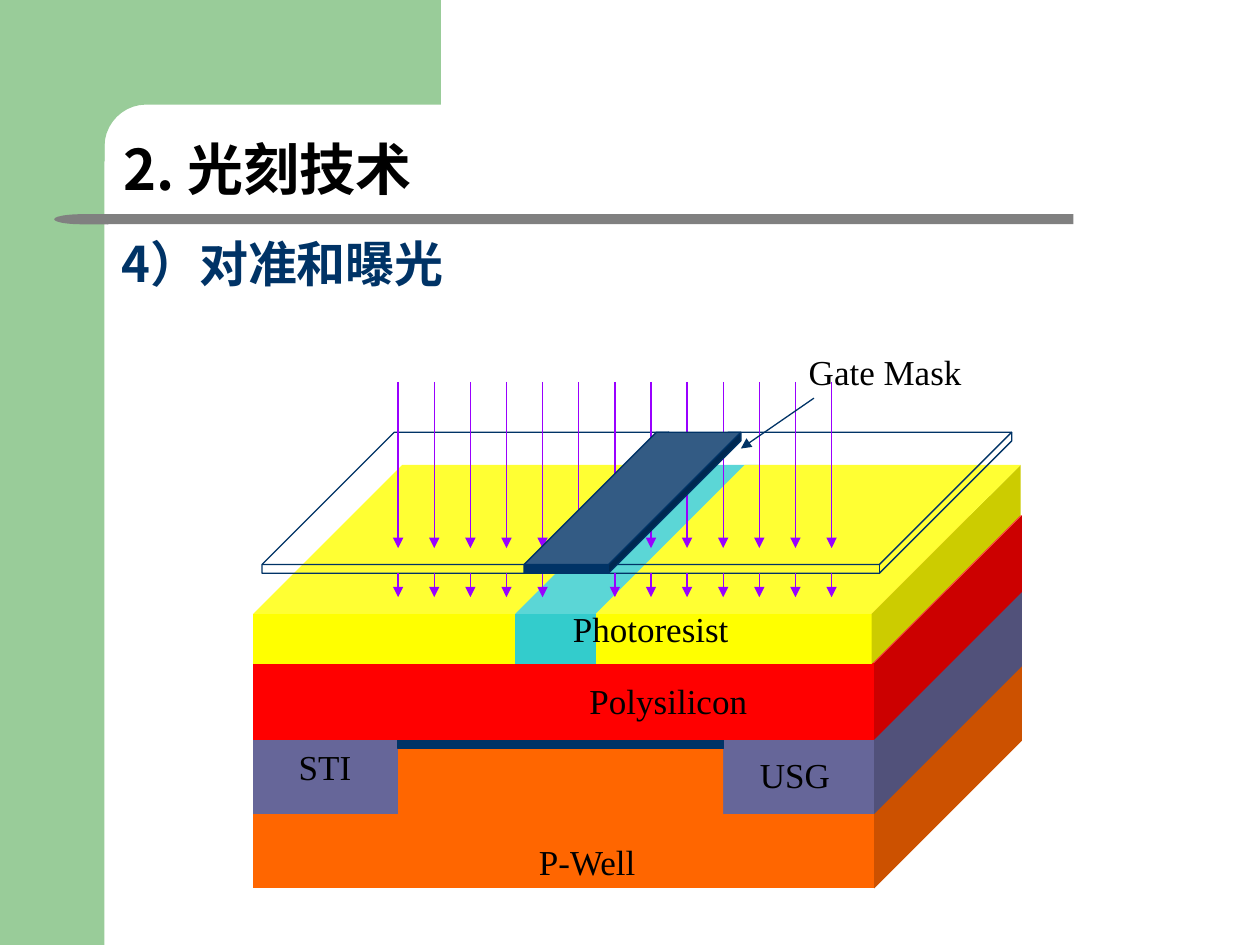
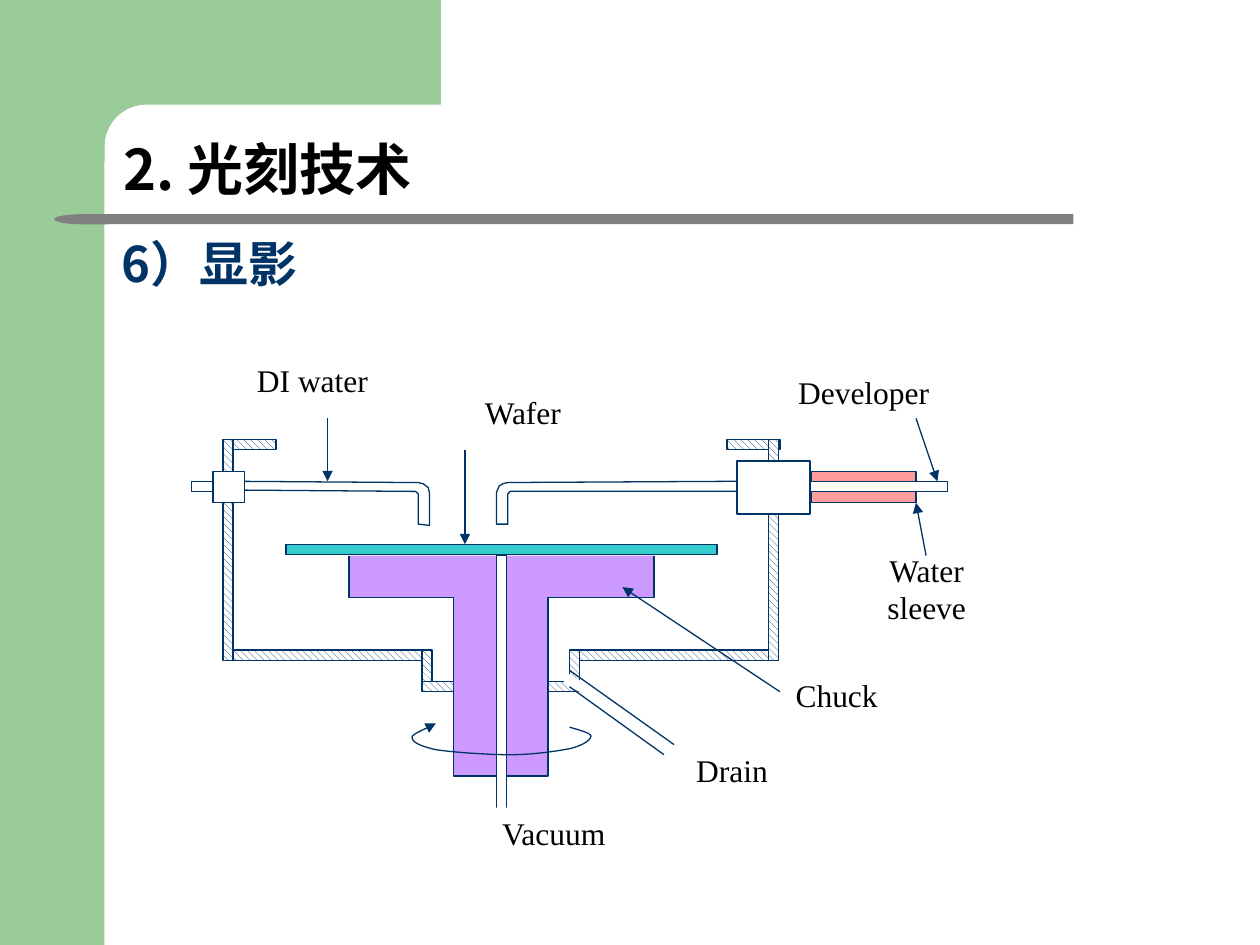
from pptx import Presentation
from pptx.dml.color import RGBColor
from pptx.enum.dml import MSO_PATTERN
from pptx.enum.shapes import MSO_CONNECTOR, MSO_SHAPE
from pptx.enum.text import MSO_ANCHOR, PP_ALIGN
from pptx.oxml.ns import qn
from pptx.util import Inches, Pt
from lxml import etree

RECT, CUBE = MSO_SHAPE.RECTANGLE, MSO_SHAPE.CUBE
ROUND_RECT, DELAY = MSO_SHAPE.ROUNDED_RECTANGLE, MSO_SHAPE.FLOWCHART_DELAY
STRAIGHT = MSO_CONNECTOR.STRAIGHT
HATCH = MSO_PATTERN.WIDE_DOWNWARD_DIAGONAL
TOP, BOTTOM = MSO_ANCHOR.TOP, MSO_ANCHOR.BOTTOM
LEFT, CENTER = PP_ALIGN.LEFT, PP_ALIGN.CENTER

COLOURS = {
    "white": "FFFFFF", "black": "000000", "navy": "003366",
    "green": "99CC99", "grey": "808080", "orange": "FF6600",
    "slate": "666699", "red": "FF0000", "yellow": "FFFF00",
    "teal": "33CCCC", "violet": "9900FF", "lilac": "CC99FF",
    "pink": "FF9D9D",
}
TITLE_FONT = "Noto Sans CJK SC"
LABEL_FONT = "Times New Roman"


def rgb(name):
    return RGBColor.from_string(COLOURS[name])


def style(shape, fill=None, line=None, hatched=False):
    shape.shadow.inherit = False
    if hatched:
        shape.fill.patterned()
        shape.fill.pattern = HATCH
        shape.fill.fore_color.rgb = rgb("navy")
        shape.fill.back_color.rgb = rgb("white")
    elif fill:
        shape.fill.solid()
        shape.fill.fore_color.rgb = rgb(fill)
    else:
        shape.fill.background()
    if line:
        shape.line.color.rgb = rgb(line)
        shape.line.width = Pt(0.75)
    else:
        shape.line.fill.background()


def add_block(page, box, fill=None, line=None, kind=RECT, adjust=None,
              hatched=False, rotation=0):
    shape = page.shapes.add_shape(kind, *map(Inches, box))
    if adjust is not None:
        shape.adjustments[0] = adjust
    shape.rotation = rotation
    style(shape, fill, line, hatched)
    return shape


def add_arrowhead(shape):
    etree.SubElement(shape.line._get_or_add_ln(), qn("a:tailEnd"),
                     type="triangle")


def add_line(page, start, end, colour="navy", arrow=False):
    line = page.shapes.add_connector(STRAIGHT, *map(Inches, (*start, *end)))
    line.line.color.rgb = rgb(colour)
    line.line.width = Pt(0.75)
    if arrow:
        add_arrowhead(line)
    etree.SubElement(line._element.spPr, qn("a:effectLst"))


def add_outline(page, points, fill=None, line=None, close=False, arrow=False):
    spots = [(Inches(x), Inches(y)) for x, y in points]
    builder = page.shapes.build_freeform(*spots[0])
    builder.add_line_segments(spots[1:], close=close)
    shape = builder.convert_to_shape()
    style(shape, fill, line)
    if arrow:
        add_arrowhead(shape)


def curve(points, steps=10):
    """Flatten a chain of cubic curves: start, then three points per curve."""
    spots = [points[0]]
    for first in range(0, len(points) - 1, 3):
        ends = points[first:first + 4]
        for step in range(1, steps + 1):
            t = step / steps
            weights = ((1 - t) ** 3, 3 * t * (1 - t) ** 2,
                       3 * t * t * (1 - t), t ** 3)
            spots.append(tuple(sum(w * end[axis] for w, end in zip(weights, ends))
                               for axis in (0, 1)))
    return spots


def write_text(shape, text, size=18, font=LABEL_FONT, colour="black",
               bold=False, align=CENTER, anchor=TOP, spacing=None):
    frame = shape.text_frame
    frame.word_wrap = True
    frame.vertical_anchor = anchor
    para = frame.paragraphs[0]
    para.alignment = align
    if spacing:
        para.line_spacing = spacing
    span = para.add_run()
    span.text = text
    span.font.size = Pt(size)
    span.font.name = font
    span.font.bold = bold
    span.font.color.rgb = rgb(colour)
    etree.SubElement(span._r.get_or_add_rPr(), qn("a:ea"), typeface=font)


def add_label(page, text, left, top, width, height=0.4, size=18):
    box = page.shapes.add_textbox(*map(Inches, (left, top, width, height)))
    write_text(box, text, size=size)


def add_heading(page, text, box, size, colour):
    shape = add_block(page, box, kind=ROUND_RECT, adjust=0.217)
    write_text(shape, text, size=size, font=TITLE_FONT, colour=colour,
               bold=True, align=LEFT, anchor=BOTTOM, spacing=0.9)


def add_page(deck, subtitle):
    page = deck.slides.add_slide(deck.slide_layouts[6])
    # Green corner with its rounded inside
    add_block(page, (0, 0, 0.83, 7.5), "green")
    corner = curve([(1.16, 0.83), (0.98, 0.83), (0.83, 0.98), (0.83, 1.16)])
    add_outline(page, [(0.5, 0), (3.5, 0), (3.5, 0.83), *corner,
                       (0.83, 1.28), (0.5, 1.28)], "green", close=True)
    # Grey rule with a rounded left end
    add_block(page, (0.85, 1.7, 7.67, 0.08), "grey")
    add_block(page, (0.43, 1.7, 0.43, 0.08), "grey", kind=DELAY, rotation=180)
    # Headings
    add_heading(page, "2. 光刻技术", (0.83, 0.84, 3.54, 0.87), 32, "black")
    add_heading(page, subtitle, (0.83, 1.86, 3.62, 0.55), 28, "navy")
    return page


def draw_exposure(page):
    # Wafer layers
    def layer(top, colour):
        add_block(page, (2.01, top, 6.1, 1.78), colour, kind=CUBE, adjust=0.658)

    layer(5.27, "orange")
    layer(4.68, "slate")
    add_block(page, (3.16, 5.87, 2.58, 0.59), "orange")
    add_block(page, (3.16, 5.87, 2.58, 0.07), "navy", "navy")
    layer(4.09, "red")

    # Photoresist, with the shaded strip in the middle
    for left, width, colour in ((2.01, 3.37, "yellow"), (4.09, 1.94, "teal"),
                                (4.73, 3.37, "yellow")):
        add_block(page, (left, 3.69, width, 1.58), colour, kind=CUBE, adjust=0.748)

    # Glass plate, light rays and the gate pattern
    def plate(left, width, fill=None):
        add_block(page, (left, 3.43, width, 1.12), fill, "navy", CUBE, 0.938)

    plate(2.08, 3.23)
    plate(4.73, 3.3)
    ray_count, blocked_ray = 13, 5
    for ray in range(ray_count):
        x = 3.16 + ray * 3.44 / (ray_count - 1)
        add_line(page, (x, 3.03), (x, 4.35), "violet", arrow=True)
        if ray != blocked_ray:
            add_line(page, (x, 4.55), (x, 4.74), "violet", arrow=True)
    plate(4.16, 1.72, "navy")
    add_line(page, (6.46, 3.16), (5.88, 3.56), arrow=True)

    # Labels
    for text, left, top, width in (
            ("Gate Mask", 5.95, 2.73, 2.15), ("Photoresist", 3.73, 4.77, 2.87),
            ("Polysilicon", 3.87, 5.34, 2.87), ("STI", 2.08, 5.87, 1),
            ("USG", 5.81, 5.93, 1), ("P-Well", 3.8, 6.62, 1.72)):
        add_label(page, text, left, top, width, 0.35, size=20)


def draw_developer(page):
    def part(left, top, width, height, fill="white"):
        add_block(page, (left, top, width, height), fill, "navy")

    # Water inlet, water sleeve and developer inlet
    part(1.52, 3.82, 0.25, 0.08)
    part(6.44, 3.74, 0.83, 0.25, "pink")
    part(6.35, 3.82, 1.17, 0.08)

    # Hatched bowl walls
    wall = 0.08
    for left, top, width, height in (
            (3.35, 5.16, wall, 0.25), (4.6, 5.16, 1.5, wall),
            (3.35, 5.41, 1.25, wall), (1.77, 3.49, 0.42, wall),
            (1.77, 3.49, wall, 1.75), (1.85, 5.16, 1.5, wall),
            (5.77, 3.49, 0.42, wall), (6.1, 3.49, wall, 1.75),
            (4.52, 5.16, wall, 0.25)):
        add_block(page, (left, top, width, height), line="navy", hatched=True)

    # Drain opening
    add_block(page, (4.56, 5.32, 0.08, 0.25), "white", rotation=300.3)
    add_line(page, (4.52, 5.45), (5.27, 5.99))
    add_line(page, (4.52, 5.32), (5.35, 5.91))

    # Chuck with its vacuum channel, and the wafer
    part(3.6, 4.66, 0.75, 1.5, "lilac")
    add_block(page, (2.77, 4.41, 2.42, 0.33), "lilac")
    part(3.94, 4.41, 0.08, 2.17)
    part(2.27, 4.32, 3.42, 0.08, "teal")
    for edge, stem in ((2.77, 3.6), (5.19, 4.35)):
        add_outline(page, [(edge, 4.41), (edge, 4.74), (stem, 4.74)], line="navy")
    vacuum = add_block(page, (3.35, 6.41, 2.09, 0.4), "white")
    write_text(vacuum, "Vacuum")

    # Nozzles and their wall fittings
    part(5.85, 3.66, 0.58, 0.42)
    add_outline(page, [(5.85, 3.9), (4.05, 3.9), (4.03, 3.92), (4.03, 4.16),
                       (3.94, 4.16), (3.94, 3.91), (3.96, 3.86), (3.99, 3.84),
                       (4.03, 3.83), (5.85, 3.82)], line="navy")
    add_outline(page, [(1.93, 3.89), (3.3, 3.9), (3.32, 3.92), (3.32, 4.16),
                       (3.41, 4.17), (3.41, 3.92), (3.4, 3.87), (3.36, 3.84),
                       (3.32, 3.83), (1.91, 3.82)], line="navy")
    part(1.69, 3.74, 0.25, 0.25)

    # Spin arrow
    spin = curve([(4.52, 5.77), (4.54, 5.78), (4.68, 5.81), (4.69, 5.84),
                  (4.69, 5.87), (4.64, 5.91), (4.53, 5.94),
                  (4.43, 5.96), (4.23, 5.99), (4.05, 5.99),
                  (3.87, 5.99), (3.59, 5.97), (3.46, 5.95),
                  (3.33, 5.92), (3.27, 5.89), (3.27, 5.85),
                  (3.27, 5.82), (3.42, 5.77), (3.46, 5.74)])
    add_outline(page, spin, line="navy", arrow=True)

    # Pointers and labels
    for start, end in (((7.27, 3.32), (7.44, 3.82)), ((3.69, 3.57), (3.69, 4.32)),
                       ((6.19, 5.49), (4.94, 4.66)), ((7.35, 4.41), (7.27, 3.99)),
                       ((2.6, 3.32), (2.6, 3.82))):
        add_line(page, start, end, arrow=True)
    for text, left, top, width in (
            ("DI water", 1.69, 2.82, 1.58), ("Wafer", 3.19, 3.07, 1.92),
            ("Developer", 6.02, 2.91, 1.67), ("Chuck", 6.1, 5.32, 1.08),
            ("Drain", 5.27, 5.91, 1.08)):
        add_label(page, text, left, top, width)
    add_label(page, "Water sleeve", 6.77, 4.32, 1.17, 0.71)


def main():
    deck = Presentation()
    deck.slide_width, deck.slide_height = Inches(10), Inches(7.5)
    draw_exposure(add_page(deck, "4）对准和曝光"))
    draw_developer(add_page(deck, "6）显影"))
    deck.save("out.pptx")


if __name__ == "__main__":
    main()
